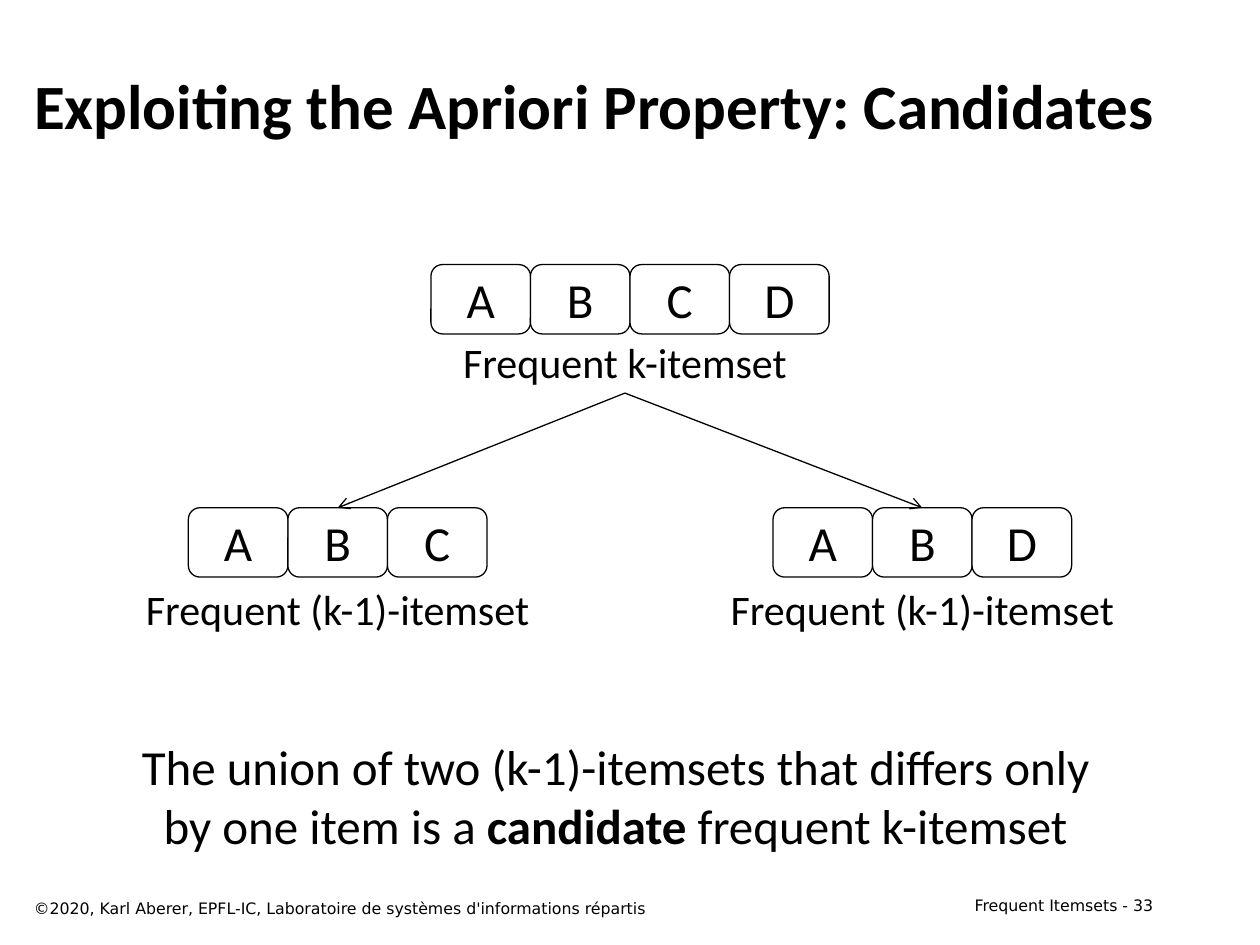
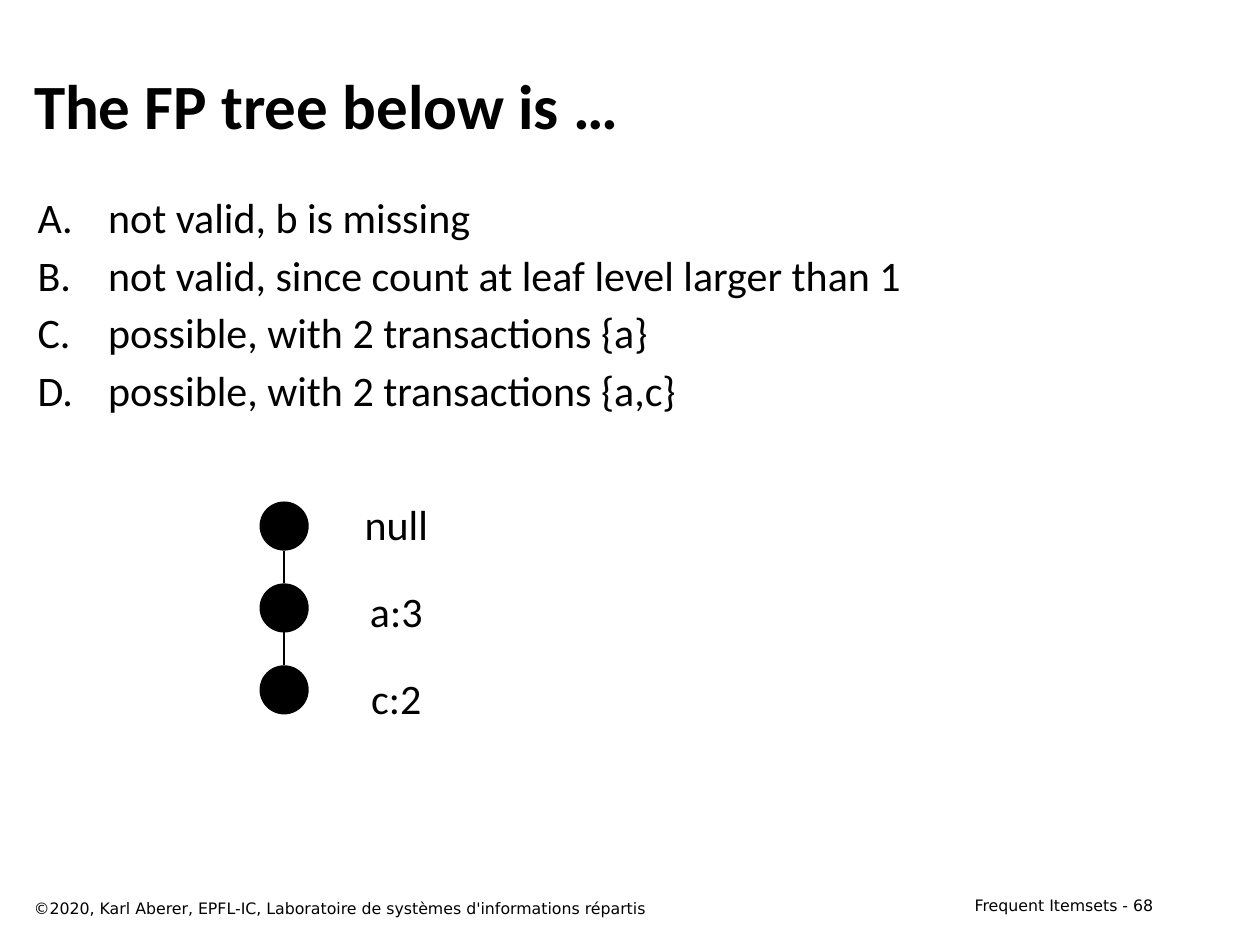
from dataclasses import dataclass

from lxml.etree import SubElement
from pptx import Presentation
from pptx.dml.color import RGBColor
from pptx.enum.shapes import MSO_CONNECTOR, MSO_SHAPE
from pptx.enum.text import MSO_ANCHOR, MSO_AUTO_SIZE, PP_ALIGN
from pptx.oxml.ns import qn
from pptx.util import Inches, Pt


@dataclass(frozen=True)
class Theme:
    ink: RGBColor = RGBColor(0, 0, 0)
    paper: RGBColor = RGBColor(255, 255, 255)
    font: str = "Calibri"
    footer_font: str = "DejaVu Sans"
    title_size: int = 36
    large_size: int = 28
    text_size: int = 24
    footer_size: int = 9
    line_width: float = 0.75


theme = Theme()


def write(shape, *paragraphs, size=theme.text_size, font=theme.font, bold=False,
          align=PP_ALIGN.LEFT, anchor=MSO_ANCHOR.TOP, wrap=True, numbered=False):
    """Each paragraph is a string or a list of (text, bold) runs."""
    frame = shape.text_frame
    frame.auto_size = MSO_AUTO_SIZE.NONE
    frame.word_wrap = wrap
    frame.vertical_anchor = anchor
    for index, content in enumerate(paragraphs):
        paragraph = frame.add_paragraph() if index else frame.paragraphs[0]
        paragraph.alignment = align
        if numbered:
            properties = paragraph._p.get_or_add_pPr()
            properties.set("marL", str(Inches(0.56)))
            properties.set("indent", str(Inches(-0.56)))
            SubElement(properties, qn("a:buFont"), typeface="+mj-lt")
            SubElement(properties, qn("a:buAutoNum"), type="alphaUcPeriod")
            if index:
                paragraph.space_before = Pt(4.2)
        runs = [(content, bold)] if isinstance(content, str) else content
        for text, run_bold in runs:
            run = paragraph.add_run()
            run.text = text
            run.font.name = font
            run.font.size = Pt(size)
            run.font.bold = run_bold
            run.font.color.rgb = theme.ink


def connect(slide, start, end, arrow=False):
    points = [Inches(value) for value in (*start, *end)]
    connector = slide.shapes.add_connector(MSO_CONNECTOR.STRAIGHT, *points)
    connector.line.color.rgb = theme.ink
    connector.line.width = Pt(theme.line_width)
    if arrow:
        SubElement(connector.line._get_or_add_ln(), qn("a:tailEnd"), type="arrow")
    SubElement(connector._element.spPr, qn("a:effectLst"))
    return connector


presentation = Presentation()
presentation.slide_width = Inches(10)
presentation.slide_height = Inches(7.5)

# Titles and footers shared by both slides
slides = []
for title_text, page in (("Exploiting the Apriori Property: Candidates", 33),
                         ("The FP tree below is …", 68)):
    slide = presentation.slides.add_slide(presentation.slide_layouts[5])
    title = slide.shapes.title
    title.left, title.top = Inches(0.17), Inches(0.33)
    title.width, title.height = Inches(9.24), Inches(1)
    write(title, title_text, size=theme.title_size, bold=True, anchor=MSO_ANCHOR.MIDDLE)
    for left, top, width, text, align in (
            (0.17, 7.08, 6.42, "©2020, Karl Aberer, EPFL-IC, Laboratoire de systèmes "
             "d'informations répartis", PP_ALIGN.LEFT),
            (7.17, 7.06, 2.08, f"Frequent Itemsets - {page}", PP_ALIGN.RIGHT)):
        footer = slide.shapes.add_textbox(Inches(left), Inches(top), Inches(width), Inches(0.25))
        write(footer, text, size=theme.footer_size, font=theme.footer_font, align=align)
    slides.append(slide)
candidate_slide, tree_slide = slides

# Slide 1: itemsets, each a label below a row of boxes
BOX_WIDTH, BOX_HEIGHT, LABEL_HEIGHT = 0.79, 0.55, 0.5
labels, middle_boxes = [], []
for items, center, top, caption, label_center, label_top, label_width in (
        ("ABCD", 5, 2.1, "Frequent k-itemset", 4.96, 2.62, 2.91),
        ("ABC", 2.68, 4.03, "Frequent (k-1)-itemset", 2.68, 4.58, 3.54),
        ("ABD", 7.32, 4.03, "Frequent (k-1)-itemset", 7.32, 4.58, 3.54)):
    label = candidate_slide.shapes.add_shape(
        MSO_SHAPE.RECTANGLE, Inches(label_center - label_width / 2), Inches(label_top),
        Inches(label_width), Inches(LABEL_HEIGHT))
    label.shadow.inherit = False
    label.fill.solid()
    label.fill.fore_color.rgb = theme.paper
    label.line.fill.background()
    write(label, caption, align=PP_ALIGN.CENTER)
    labels.append(label)

    row_left = center - len(items) * BOX_WIDTH / 2
    boxes = []
    for column, item in enumerate(items):
        box = candidate_slide.shapes.add_shape(
            MSO_SHAPE.ROUNDED_RECTANGLE, Inches(row_left + column * BOX_WIDTH), Inches(top),
            Inches(BOX_WIDTH), Inches(BOX_HEIGHT))
        box.shadow.inherit = False
        box.fill.solid()
        box.fill.fore_color.rgb = theme.paper
        box.line.color.rgb = theme.ink
        box.line.width = Pt(theme.line_width)
        write(box, item, size=theme.large_size, align=PP_ALIGN.CENTER, anchor=MSO_ANCHOR.MIDDLE)
        boxes.append(box)
    middle_boxes.append(boxes[1])

# Arrows from the k-itemset to its subsets
for target, target_x in zip(middle_boxes[1:], (2.68, 7.32)):
    arrow = connect(candidate_slide, (4.96, 3.12), (target_x, 4.03), arrow=True)
    arrow.begin_connect(labels[0], 2)
    arrow.end_connect(target, 0)

# Conclusion
conclusion = candidate_slide.shapes.add_textbox(
    Inches(0.83), Inches(5.8), Inches(8.11), Inches(1.04))
write(conclusion,
      [("The union of two (k-1)-itemsets that differs only by one item is a ", False),
       ("candidate ", True), ("frequent k-itemset", False)],
      size=theme.large_size, align=PP_ALIGN.CENTER)

# Slide 2: answers
answers = tree_slide.shapes.add_textbox(Inches(0.2), Inches(1.47), Inches(9.08), Inches(5.5))
write(answers, "not valid, b is missing", "not valid, since count at leaf level larger than 1",
      "possible, with 2 transactions {a}", "possible, with 2 transactions {a,c}", numbered=True)

# Tree nodes, their labels and the edges between them
NODE_SIZE, NODE_PITCH, LABEL_PITCH = 0.39, 0.65, 0.69
NODE_LEFT, TREE_TOP, LABEL_TOP = 2.06, 3.98, 3.91
node_center = NODE_LEFT + NODE_SIZE / 2
for level, name in enumerate(("null", "a:3", "c:2")):
    node_top = TREE_TOP + level * NODE_PITCH
    node = tree_slide.shapes.add_shape(
        MSO_SHAPE.OVAL, Inches(NODE_LEFT), Inches(node_top), Inches(NODE_SIZE), Inches(NODE_SIZE))
    node.shadow.inherit = False
    node.fill.solid()
    node.fill.fore_color.rgb = theme.ink
    node.line.fill.background()
    if level:
        connect(tree_slide, (node_center, node_top - NODE_PITCH + NODE_SIZE),
                (node_center, node_top))
    node_label = tree_slide.shapes.add_textbox(
        Inches(2.79), Inches(LABEL_TOP + level * LABEL_PITCH), Inches(0.71), Inches(0.5))
    write(node_label, name, align=PP_ALIGN.CENTER, wrap=False)

presentation.save("out.pptx")
